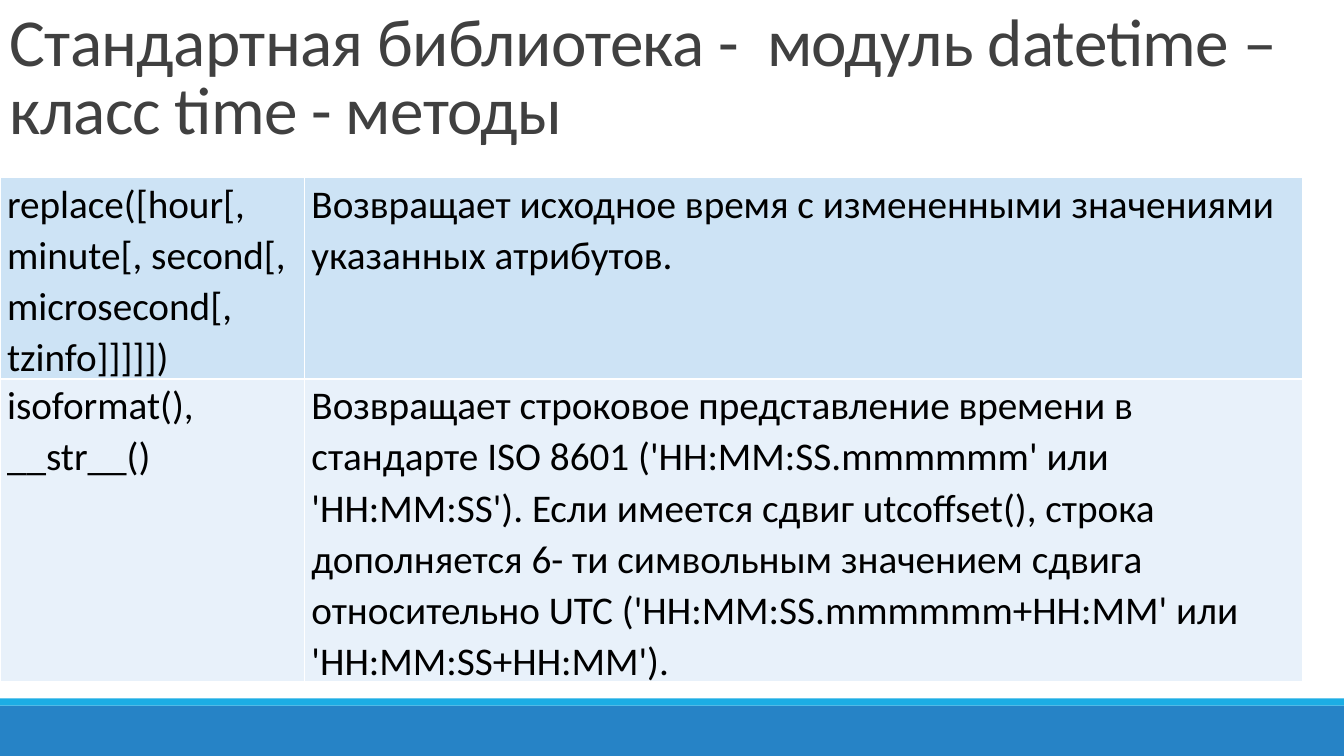
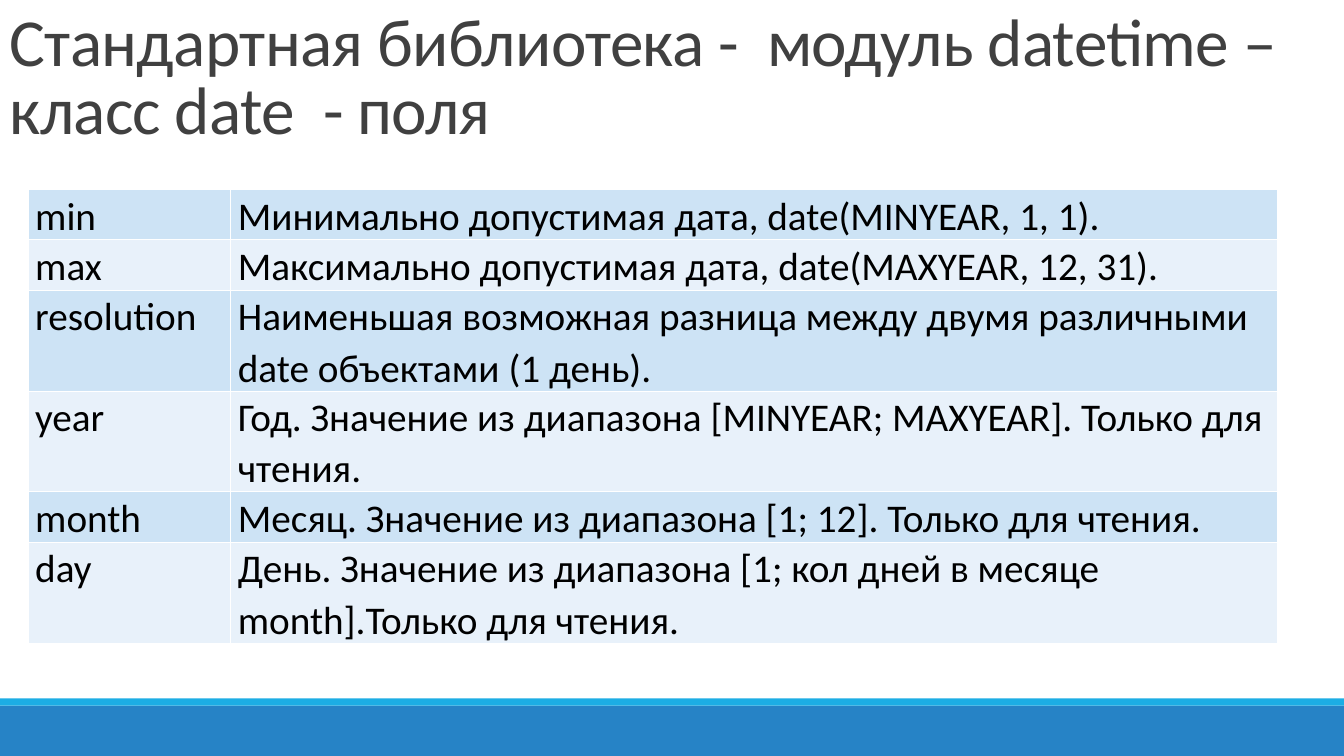
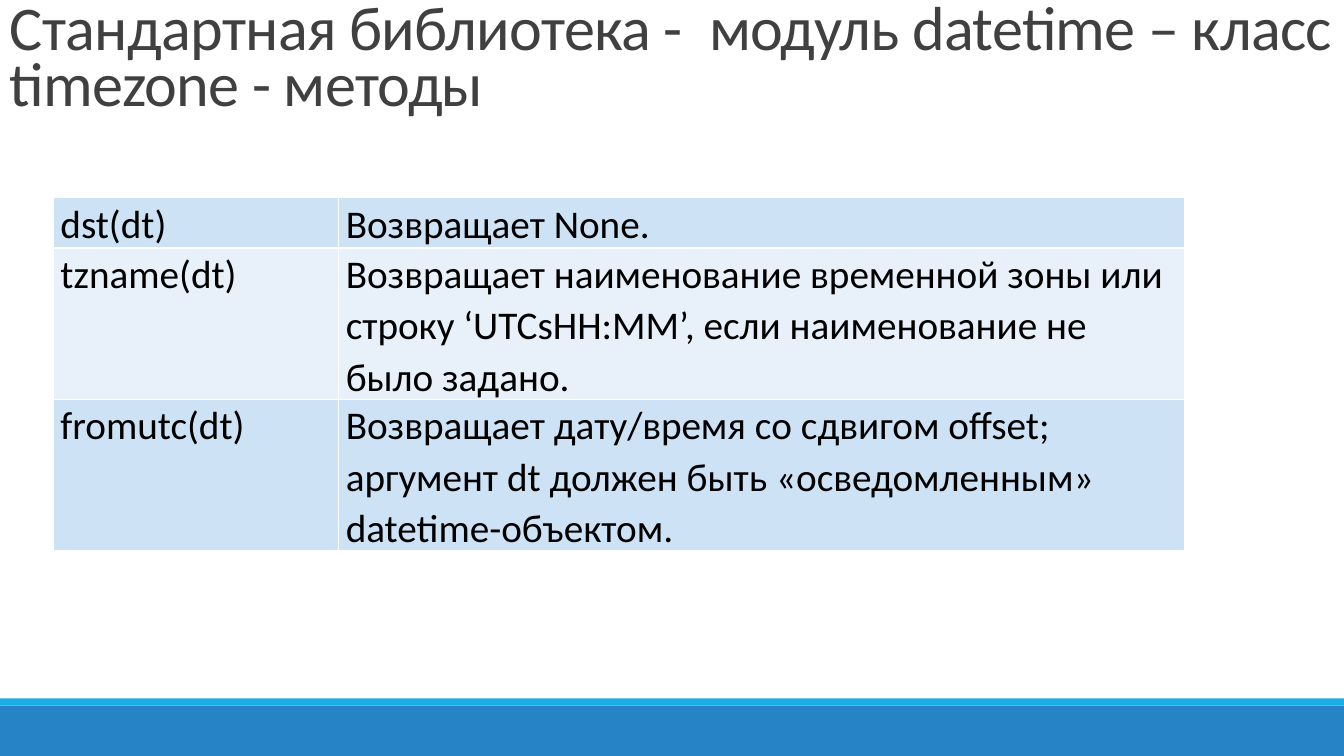
import pptx
import pptx.dml.color
import pptx.enum.shapes
import pptx.enum.text
import pptx.util
from lxml import etree

Inches = pptx.util.Inches
Pt = pptx.util.Pt

SLIDE_WIDTH, SLIDE_HEIGHT = 13.33, 7.5
FONT = "Calibri"
TITLE_COLOR, TEXT_COLOR, BORDER_COLOR = "404040", "000000", "FFFFFF"
ROW_COLORS = ("CDE3F5", "E8F1FA")
FOOTER_BANDS = ((7, 0.5, "2683C6"), (6.93, 0.07, "1CADE4"))
LINE_HEIGHT = 0.5
DRAWING_NS = "http://schemas.openxmlformats.org/drawingml/2006/main"


def rgb(color):
    return pptx.dml.color.RGBColor.from_string(color)


def style_paragraph(paragraph, size, color, line_spacing):
    paragraph.line_spacing = line_spacing
    paragraph.font.name = FONT
    paragraph.font.size = Pt(size)
    paragraph.font.color.rgb = rgb(color)


def add_footer(slide):
    for top, height, color in FOOTER_BANDS:
        band = slide.shapes.add_shape(
            pptx.enum.shapes.MSO_SHAPE.RECTANGLE,
            Inches(0), Inches(top), Inches(SLIDE_WIDTH), Inches(height))
        band.shadow.inherit = False
        band.fill.solid()
        band.fill.fore_color.rgb = rgb(color)
        band.line.fill.background()


def add_title(slide, text, height=1.52, size=48, line_spacing=0.85):
    title = slide.shapes.add_textbox(
        Inches(0), Inches(0), Inches(SLIDE_WIDTH), Inches(height))
    frame = title.text_frame
    frame.word_wrap = True
    frame.vertical_anchor = pptx.enum.text.MSO_ANCHOR.BOTTOM
    frame.margin_right = Inches(0.05)
    paragraph = frame.paragraphs[0]
    run = paragraph.add_run()
    run.text = text
    style_paragraph(paragraph, size, TITLE_COLOR, line_spacing)
    run.font._element.set("spc", "-50")


def add_borders(cell):
    properties = cell._tc.get_or_add_tcPr()
    for side in ("lnL", "lnR", "lnT", "lnB"):
        border = etree.SubElement(
            properties, f"{{{DRAWING_NS}}}{side}", w=str(Pt(1)))
        fill = etree.SubElement(border, f"{{{DRAWING_NS}}}solidFill")
        etree.SubElement(fill, f"{{{DRAWING_NS}}}srgbClr", val=BORDER_COLOR)


def fill_cell(cell, text, color):
    cell.margin_left = cell.margin_right = Inches(0.07)
    cell.margin_top = cell.margin_bottom = 0
    add_borders(cell)
    cell.fill.solid()
    cell.fill.fore_color.rgb = rgb(color)
    cell.text = text
    style_paragraph(cell.text_frame.paragraphs[0], 28, TEXT_COLOR, 1.07)


def add_reference_table(slide, left, top, column_widths, entries):
    """Place a member/description table; each entry ends with its line count."""
    height = LINE_HEIGHT * sum(lines for _, _, lines in entries)
    table = slide.shapes.add_table(
        len(entries), len(column_widths), Inches(left), Inches(top),
        Inches(sum(column_widths)), Inches(height)).table
    table.first_row = False
    table.horz_banding = False
    for column, width in zip(table.columns, column_widths):
        column.width = Inches(width)
    for index, (member, description, lines) in enumerate(entries):
        table.rows[index].height = Inches(LINE_HEIGHT * lines)
        color = ROW_COLORS[index % 2]
        fill_cell(table.cell(index, 0), member, color)
        fill_cell(table.cell(index, 1), description, color)


TIME_METHODS = (
    ("replace([hour[, minute[, second[, microsecond[, tzinfo]]]]])",
     "Возвращает исходное время с измененными значениями указанных атрибутов.",
     4),
    ("isoformat(), __str__()",
     "Возвращает строковое представление времени в стандарте ISO 8601 "
     "('HH:MM:SS.mmmmmm' или 'HH:MM:SS'). Если имеется сдвиг utcoffset(), "
     "строка дополняется 6- ти символьным значением сдвига относительно UTC "
     "('HH:MM:SS.mmmmmm+HH:MM' или 'HH:MM:SS+HH:MM').", 6),
)

DATE_FIELDS = (
    ("min", "Минимально допустимая дата, date(MINYEAR, 1, 1).", 1),
    ("max", "Максимально допустимая дата, date(MAXYEAR, 12, 31).", 1),
    ("resolution",
     "Наименьшая возможная разница между двумя различными date объектами "
     "(1 день).", 2),
    ("year",
     "Год. Значение из диапазона [MINYEAR; MAXYEAR]. Только для чтения.", 2),
    ("month", "Месяц. Значение из диапазона [1; 12]. Только для чтения.", 1),
    ("day",
     "День. Значение из диапазона [1; кол дней в месяце month].Только для "
     "чтения.", 2),
)

TIMEZONE_METHODS = (
    ("dst(dt)", "Возвращает None.", 1),
    ("tzname(dt)",
     "Возвращает наименование временной зоны или строку ‘UTCsHH:MM’, если "
     "наименование не было задано.", 3),
    ("fromutc(dt)",
     "Возвращает дату/время со сдвигом offset; аргумент dt должен быть "
     "«осведомленным» datetime-объектом.", 3),
)

TITLE_START = "Стандартная библиотека -  модуль datetime – класс "


def add_reference_slide(presentation, topic, left, top, column_widths, entries,
                        **title_style):
    slide = presentation.slides.add_slide(presentation.slide_layouts[6])
    add_footer(slide)
    add_title(slide, TITLE_START + topic, **title_style)
    add_reference_table(slide, left, top, column_widths, entries)


def main():
    presentation = pptx.Presentation()
    presentation.slide_width = Inches(SLIDE_WIDTH)
    presentation.slide_height = Inches(SLIDE_HEIGHT)
    add_reference_slide(presentation, "time - методы",
                        0, 1.76, (3.02, 9.9), TIME_METHODS)
    add_reference_slide(presentation, "date  - поля",
                        0.28, 1.88, (2.01, 10.38), DATE_FIELDS)
    add_reference_slide(presentation, "timezone - методы",
                        0.53, 1.96, (2.83, 8.39), TIMEZONE_METHODS,
                        height=1.22, size=44.4, line_spacing=0.75)
    presentation.save("out.pptx")


if __name__ == "__main__":
    main()
